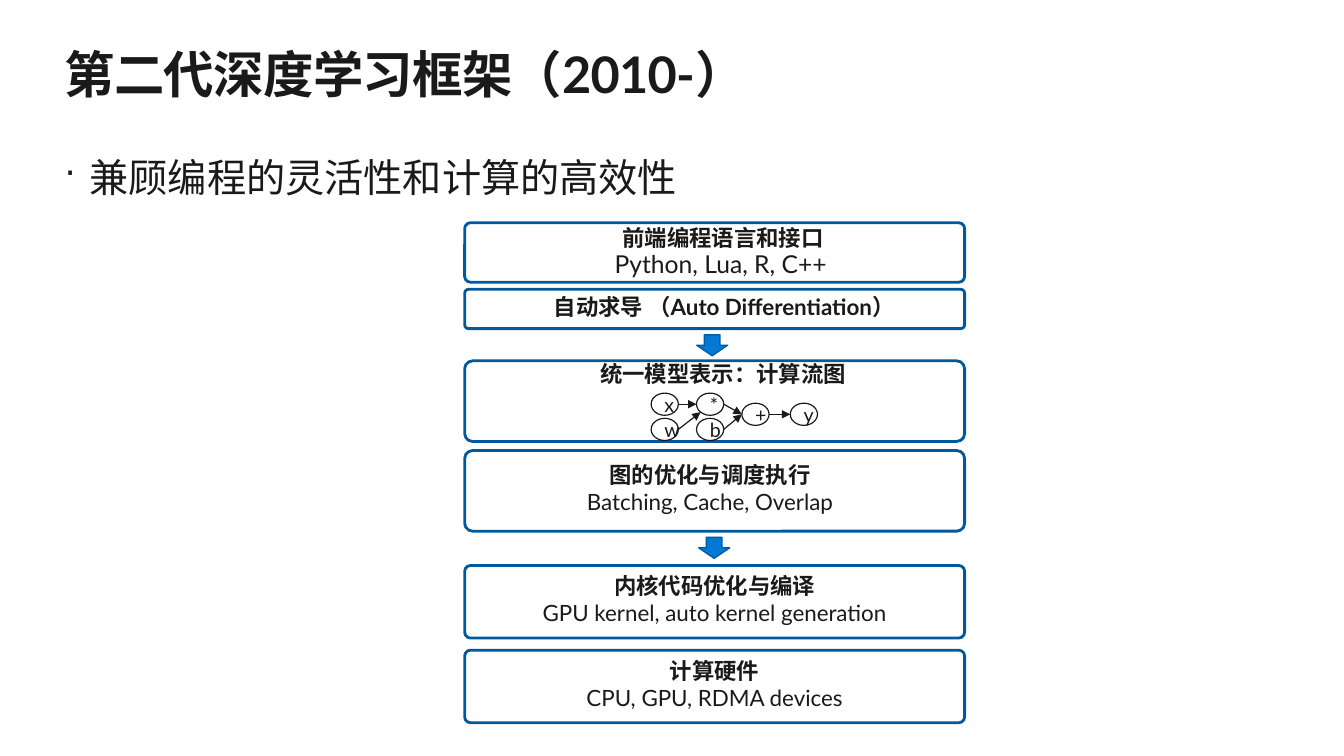
"""Build the slide on second-generation deep learning frameworks."""
from lxml import etree
from pptx import Presentation
from pptx.dml.color import RGBColor
from pptx.enum.shapes import MSO_CONNECTOR, MSO_SHAPE
from pptx.enum.text import MSO_ANCHOR, MSO_AUTO_SIZE, PP_ALIGN
from pptx.oxml.ns import qn
from pptx.util import Inches, Pt

STRAIGHT = MSO_CONNECTOR.STRAIGHT
ROUNDED, OVAL, DOWN = MSO_SHAPE.ROUNDED_RECTANGLE, MSO_SHAPE.OVAL, MSO_SHAPE.DOWN_ARROW
TOP, MIDDLE = MSO_ANCHOR.TOP, MSO_ANCHOR.MIDDLE
GROW = MSO_AUTO_SIZE.SHAPE_TO_FIT_TEXT
LEFT, CENTER = PP_ALIGN.LEFT, PP_ALIGN.CENTER

WIDTH, HEIGHT = Inches(13.33), Inches(7.5)
COL, ROW = WIDTH / 40, HEIGHT / 30
COLORS = {"ink": "1A1A1A", "edge": "00599D", "arrow": "0078D4", "paper": "FFFFFF"}
FONT = "Lato"

MARGIN, TEXT_W = 1.92, 36.15
STACK_X, STACK_W = 13.83, 14.88
NODE_W, NODE_H = 0.81, 0.88

LAYERS = [
    (8.84, 2.36, 0.098), (11.48, 1.56, 0.098), (14.32, 3.2, 0.098),
    (17.88, 3.2, 0.098), (22.44, 2.88, 0.08), (25.8, 2.88, 0.08),
]
LABELS = [
    ((14.55, 8.68, 13.95, 1.12), [("前端编程语言和接口", 16, True)]),
    ((14.01, 9.68, STACK_W, 1.6), [("Python, Lua, R, C++", 17.6, False)]),
    ((14.58, 11.44, 13.95, 0.72), [("自动求导 （Auto Differentiation）", 16, True)]),
    ((14.55, 14.08, 13.95, 1.48), [("统一模型表示：计算流图", 16, True)]),
    ((14.16, 18.12, 13.95, 2.56),
     [("图的优化与调度执行", 16, True), ("Batching, Cache, Overlap", 16, False)]),
    ((STACK_X, 22.52, STACK_W, 2.56),
     [("内核代码优化与编译", 16, True), ("GPU kernel, auto kernel generation", 16, False)]),
    ((STACK_X, 25.88, STACK_W, 2.56),
     [("计算硬件", 16, True), ("CPU, GPU, RDMA devices", 16, False)]),
]
ARROWS = [(20.73, 13.28), (20.79, 21.32)]
NODES = {
    "x": (19.38, 15.6), "w": (19.38, 16.6), "b": (20.73, 16.6),
    "*": (20.73, 15.6), "+": (22.08, 16), "y": (23.52, 16),
}
LEFT_SIDE, LOWER_LEFT = (0, 0.5), (0.15, 0.86)
EDGES = [
    ("x", "*", LEFT_SIDE), ("w", "*", LOWER_LEFT), ("b", "+", LEFT_SIDE),
    ("*", "+", LEFT_SIDE), ("+", "y", LEFT_SIDE),
]


def rgb(name):
    """Return a named colour."""
    return RGBColor.from_string(COLORS[name])


def grid(x, y, w, h):
    """Turn columns and rows into lengths."""
    return int(x * COL), int(y * ROW), int(w * COL), int(h * ROW)


def set_all(obj, values):
    """Set the attributes of an object from a dict."""
    for name, value in values.items():
        setattr(obj, name, value)


def write(p, text, size, bold=False, align=CENTER):
    """Fill a paragraph with one formatted run."""
    p.alignment = align
    r = p.add_run()
    r.text = text
    set_all(r.font, {"name": FONT, "size": Pt(size), "bold": bold})
    r.font.color.rgb = rgb("ink")
    return r


def add_title(slide, text):
    """Place and format the title."""
    sp = slide.shapes.title
    box = grid(MARGIN, 2, TEXT_W, 2.44)
    set_all(sp, dict(zip(("left", "top", "width", "height"), box)))
    tf = sp.text_frame
    set_all(tf, {"margin_left": 0, "margin_right": 0, "margin_top": 0, "margin_bottom": 0,
                 "vertical_anchor": TOP, "auto_size": GROW, "word_wrap": True})
    p = tf.paragraphs[0]
    p.line_spacing = 0.9
    r = write(p, text, 36, True, LEFT)
    r.font._element.set("spc", "-50")


def add_bullet(slide, text):
    """Add the bulleted statement below the title."""
    tf = slide.shapes.add_textbox(*grid(MARGIN, 6.28, TEXT_W, 1.88)).text_frame
    set_all(tf, {"margin_left": 0, "margin_right": 0, "margin_top": 0, "margin_bottom": 0,
                 "word_wrap": True, "auto_size": GROW})
    p = tf.paragraphs[0]
    p.line_spacing = 0.9
    pPr = p._p.get_or_add_pPr()
    indent = Inches(0.25)
    pPr.set("marL", str(indent))
    pPr.set("indent", str(-indent))
    etree.SubElement(pPr, qn("a:buSzPct")).set("val", "90000")
    etree.SubElement(pPr, qn("a:buChar")).set("char", "·")
    write(p, text, 28, align=LEFT)


def add_shape(slide, kind, box, line, weight, fill=None):
    """Add a preset shape with its line and optional fill."""
    sp = slide.shapes.add_shape(kind, *grid(*box))
    sp.shadow.inherit = False
    if fill:
        sp.fill.solid()
        sp.fill.fore_color.rgb = rgb(fill)
    else:
        sp.fill.background()
    sp.line.color.rgb = rgb(line)
    sp.line.width = Pt(weight)
    return sp


def add_label(slide, box, lines):
    """Add centred lines of text."""
    tf = slide.shapes.add_textbox(*grid(*box)).text_frame
    set_all(tf, {"word_wrap": True, "auto_size": GROW})
    for i, (text, size, bold) in enumerate(lines):
        p = tf.add_paragraph() if i else tf.paragraphs[0]
        write(p, text, size, bold)


def add_node(slide, name, x, y):
    """Add one node of the computation graph."""
    sp = add_shape(slide, OVAL, (x, y, NODE_W, NODE_H), "ink", 0.85, "paper")
    sp.text_frame.vertical_anchor = MIDDLE
    write(sp.text_frame.paragraphs[0], name, 14)


def add_edge(slide, source, target, entry):
    """Add an arrow from a node's right side to a point on another node."""
    (x1, y1), (x2, y2) = NODES[source], NODES[target]
    start = grid(x1 + NODE_W, y1 + NODE_H / 2, 0, 0)[:2]
    end = grid(x2 + NODE_W * entry[0], y2 + NODE_H * entry[1], 0, 0)[:2]
    c = slide.shapes.add_connector(STRAIGHT, *start, *end)
    c.line.color.rgb = rgb("ink")
    c.line.width = Pt(0.85)
    etree.SubElement(c.line._get_or_add_ln(), qn("a:tailEnd")).set("type", "triangle")
    etree.SubElement(c._element.spPr, qn("a:effectLst"))


def main():
    """Build and save the slide."""
    prs = Presentation()
    set_all(prs, {"slide_width": WIDTH, "slide_height": HEIGHT})
    slide = prs.slides.add_slide(prs.slide_layouts[5])
    add_title(slide, "第二代深度学习框架（2010-）")
    add_bullet(slide, "兼顾编程的灵活性和计算的高效性")
    for y, h, radius in LAYERS:
        sp = add_shape(slide, ROUNDED, (STACK_X, y, STACK_W, h), "edge", 2)
        sp.adjustments[0] = radius
    for box, lines in LABELS:
        add_label(slide, box, lines)
    for x, y in ARROWS:
        add_shape(slide, DOWN, (x, y, 0.93, 0.84), "edge", 0.85, "arrow")
    for name, (x, y) in NODES.items():
        add_node(slide, name, x, y)
    for edge in EDGES:
        add_edge(slide, *edge)
    prs.save("out.pptx")


if __name__ == "__main__":
    main()
